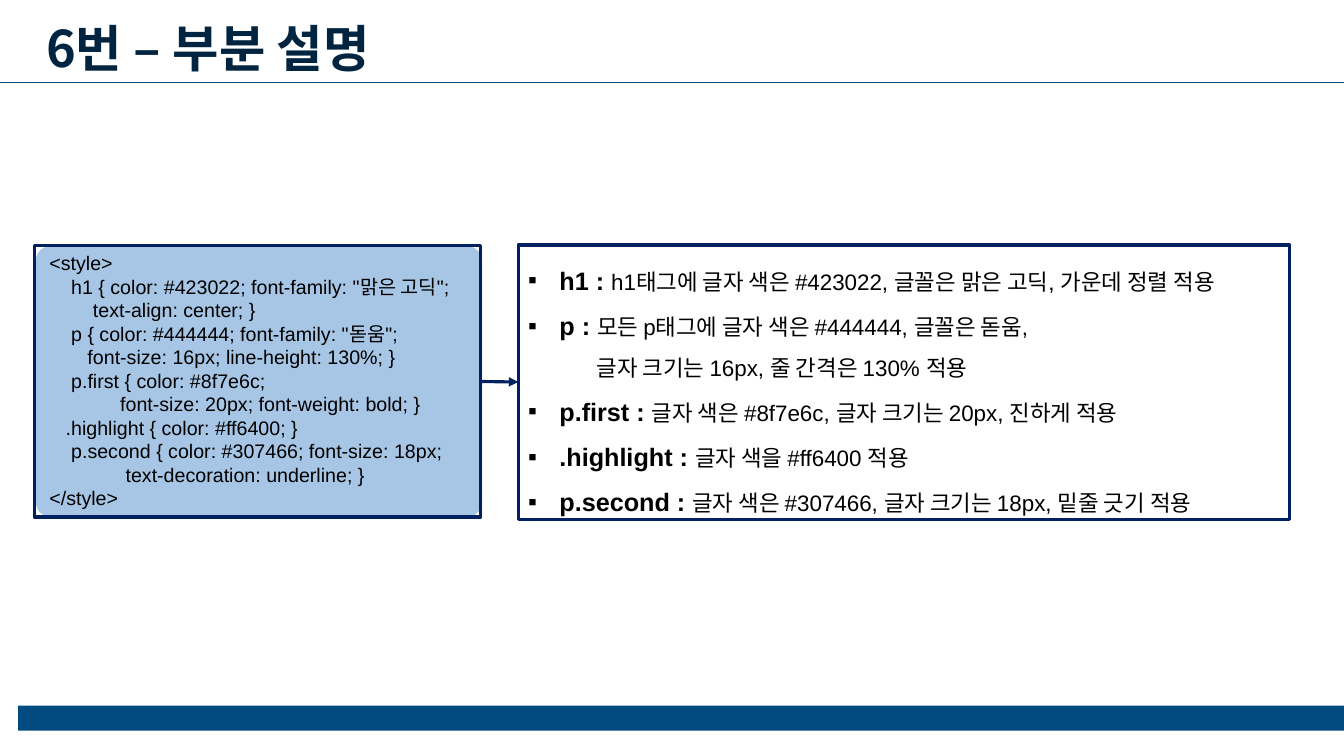
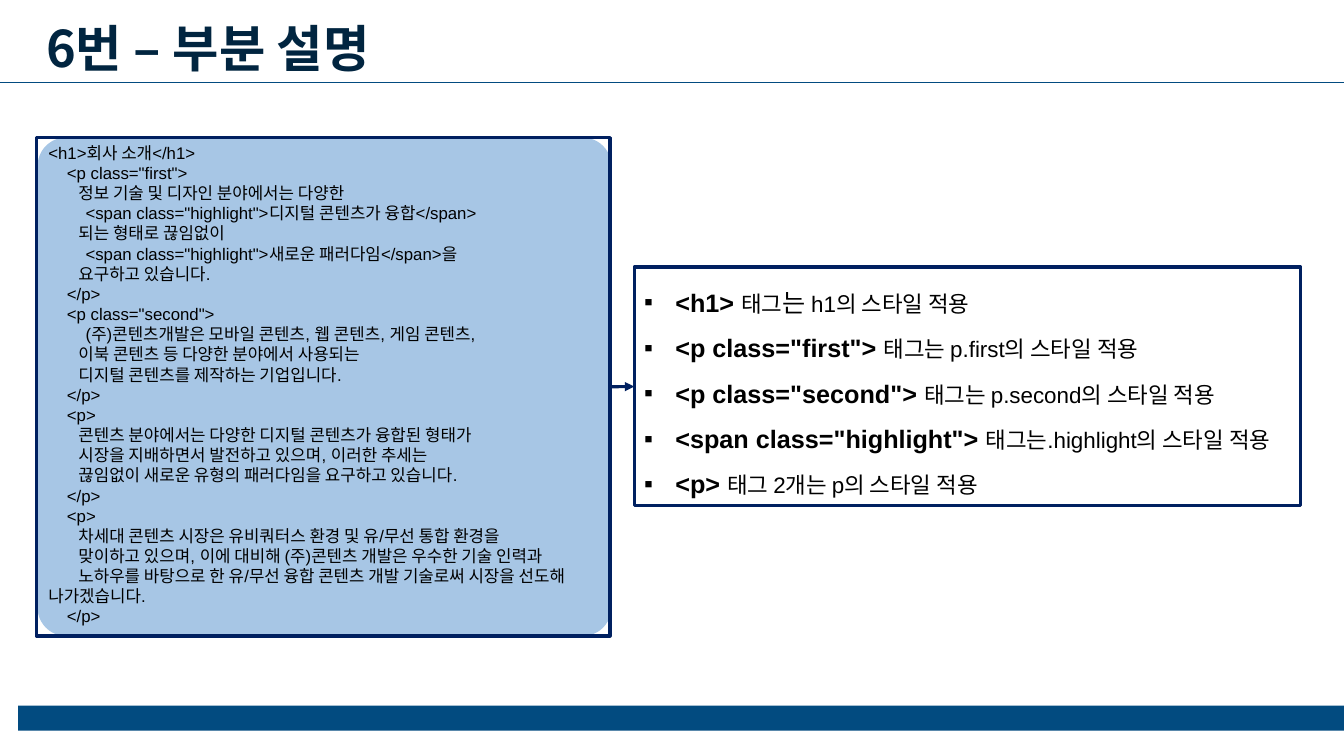
from lxml.etree import SubElement
from pptx import Presentation
from pptx.dml.color import RGBColor
from pptx.enum.shapes import MSO_CONNECTOR, MSO_SHAPE
from pptx.enum.text import MSO_ANCHOR, PP_ALIGN
from pptx.oxml.ns import qn
from pptx.util import Inches, Pt

HUES = {"band": "024B80", "title": "012540", "pane": "A7C6E5",
        "edge": "002060", "text": "000000"}
KOREAN = "Noto Sans CJK KR"
RUNS = {"head": {"size": 18, "bold": True}, "body": {"size": 16}, "wide": {"size": 18}}

STYLE = """<style>
    h1 { color: #423022; font-family: "맑은 고딕";
        text-align: center; }
    p { color: #444444; font-family: "돋움";
       font-size: 16px; line-height: 130%; }
    p.first { color: #8f7e6c;
             font-size: 20px; font-weight: bold; }
   .highlight { color: #ff6400; }
    p.second { color: #307466; font-size: 18px;
              text-decoration: underline; }
</style>"""

RULES = [
    [("h1 : ", "head"), ("h1태그에 글자 색은 #423022, 글꼴은 맑은 고딕, 가운데 정렬 적용", "body")],
    [("p : ", "head"), ("모든 p태그에 글자 색은 #444444, 글꼴은 돋움,", "body")],
    [("글자 크기는 16px, 줄 간격은 130% 적용", "body")],
    [("p.first : ", "head"), ("글자 색은 #8f7e6c, 글자 크기는 20px, 진하게 적용", "body")],
    [(".highlight : ", "head"), ("글자 색을 #ff6400 적용", "body")],
    [("p.second : ", "head"), ("글자 색은 #307466, 글자 크기는 18px, 밑줄 긋기 적용", "body")],
]

MARKUP = """<h1>회사 소개</h1>
    <p class="first">
        정보 기술 및 디자인 분야에서는 다양한
        <span class="highlight">디지털 콘텐츠가 융합</span>
        되는 형태로 끊임없이
        <span class="highlight">새로운 패러다임</span>을
        요구하고 있습니다.
    </p>
    <p class="second">
        (주)콘텐츠개발은 모바일 콘텐츠, 웹 콘텐츠, 게임 콘텐츠,
        이북 콘텐츠 등 다양한 분야에서 사용되는
        디지털 콘텐츠를 제작하는 기업입니다.
    </p>
    <p>
        콘텐츠 분야에서는 다양한 디지털 콘텐츠가 융합된 형태가
        시장을 지배하면서 발전하고 있으며, 이러한 추세는
        끊임없이 새로운 유형의 패러다임을 요구하고 있습니다.
    </p>
    <p>
        차세대 콘텐츠 시장은 유비쿼터스 환경 및 유/무선 통합 환경을
        맞이하고 있으며, 이에 대비해 (주)콘텐츠 개발은 우수한 기술 인력과
        노하우를 바탕으로 한 유/무선 융합 콘텐츠 개발 기술로써 시장을 선도해 나가겠습니다.
    </p>"""

USES = [
    [("<h1> ", "head"), ("태그", "body"), ("는 ", "wide"), ("h1의 스타일 적용", "body")],
    [('<p class="first"> ', "head"), ("태그는 p.first의 스타일 적용", "body")],
    [('<p class="second"> ', "head"), ("태그는 p.second의 스타일 적용", "body")],
    [('<span class="highlight"> ', "head"), ("태그는.highlight의 스타일 적용", "body")],
    [("<p> ", "head"), ("태그 2개는 p의 스타일 적용", "body")],
]


def hue(name):
    """Return a named colour."""
    return RGBColor.from_string(HUES[name])


def write(para, text, *, size, bold=False, color="text", font="Arial"):
    """Add one formatted run to a paragraph."""
    run = para.add_run()
    run.text = text
    run.font.size, run.font.bold = Pt(size), bold
    run.font.color.rgb = hue(color)
    run.font.name = font
    SubElement(run._r.get_or_add_rPr(), qn("a:ea"), typeface=KOREAN)


def paras(frame, rows):
    """Yield a left-aligned paragraph with each row."""
    for num, row in enumerate(rows):
        para = frame.add_paragraph() if num else frame.paragraphs[0]
        para.alignment = PP_ALIGN.LEFT
        yield para, row


class Deck:
    """Hold the style and the current slide; lengths are percent of its size."""

    def __init__(self):
        """Start a wide deck."""
        self.show = Presentation()
        self.show.slide_width, self.show.slide_height = Inches(13.33), Inches(7.5)

    def spot(self, *sides):
        """Turn percent lengths, across and down in turn, into slide lengths."""
        sizes = (self.show.slide_width, self.show.slide_height) * 2
        return [round(size * side / 100) for size, side in zip(sizes, sides)]

    def page(self, title):
        """Add a slide with its title, rule and bottom band."""
        self.slide = self.show.slides.add_slide(self.show.slide_layouts[6])
        self.shape((1.35, 93.33, 98.65, 3.33), fill="band")
        box = self.slide.shapes.add_textbox(*self.spot(2.7, 1.47, 81.62, 9.47))
        box.text_frame.word_wrap = True
        box.text_frame.vertical_anchor = MSO_ANCHOR.MIDDLE
        write(box.text_frame.paragraphs[0], title, size=36, bold=True,
              color="title", font=KOREAN)
        self.line((0, 10.93, 100, 10.93), "band", 0.5)

    def shape(self, area, kind=MSO_SHAPE.RECTANGLE, fill=None, edge=None):
        """Add a preset shape with an optional fill and outline."""
        item = self.slide.shapes.add_shape(kind, *self.spot(*area))
        item.shadow.inherit = False
        if fill:
            item.fill.solid()
            item.fill.fore_color.rgb = hue(fill)
        else:
            item.fill.background()
        if edge:
            item.line.color.rgb, item.line.width = hue(edge), Pt(2.25)
        else:
            item.line.fill.background()
        item.text_frame.word_wrap = True
        item.text_frame.vertical_anchor = MSO_ANCHOR.TOP
        return item

    def line(self, ends, color, width):
        """Add a straight line."""
        link = self.slide.shapes.add_connector(MSO_CONNECTOR.STRAIGHT, *self.spot(*ends))
        link.line.color.rgb, link.line.width = hue(color), Pt(width)
        SubElement(link._element.spPr, qn("a:effectLst"))
        return link

    def code(self, area, text, size, pad):
        """Add a framed code panel on a rounded pane."""
        left, *rest = area
        pane = self.shape((left + 0.1, *rest), MSO_SHAPE.ROUNDED_RECTANGLE, fill="pane")
        pane.adjustments[0] = 0.057
        item = self.shape(area, edge="edge")
        item.text_frame.margin_left = Inches(pad)
        for para, row in paras(item.text_frame, text.split("\n")):
            write(para, row, size=size)
        return item

    def notes(self, area, rows):
        """Add a framed list; rows without a head are indented further."""
        item = self.shape(area, edge="edge")
        for para, row in paras(item.text_frame, rows):
            para.line_spacing = 1.5
            props = para._p.get_or_add_pPr()
            if row[0][1] == "head":
                props.set("marL", str(Inches(0.31)))
                props.set("indent", str(-Inches(0.31)))
                SubElement(props, qn("a:buFont"), typeface="Arial")
                SubElement(props, qn("a:buChar"), char="▪")
            else:
                props.set("marL", str(Inches(0.68)))
            for text, kind in row:
                write(para, text, **RUNS[kind])
        return item

    def join(self, start, end):
        """Draw an arrow from one panel's right side to another's left."""
        link = self.line((0, 0, 0, 0), "edge", 2.25)
        link.begin_connect(start, 3)
        link.end_connect(end, 1)
        SubElement(link.line._get_or_add_ln(), qn("a:tailEnd"), type="triangle")


def main():
    """Build both slides."""
    deck = Deck()
    pages = [
        ((2.55, 32.53, 33.23, 35.87), STYLE, 14, 0.15,
         (38.56, 32.4, 57.39, 36.27), RULES),
        ((2.7, 18.2, 42.69, 65.93), MARKUP, 12, 0.12,
         (47.19, 35.33, 49.59, 31.6), USES),
    ]
    for left, text, size, pad, right, rows in pages:
        deck.page("6번 – 부분 설명")
        deck.join(deck.code(left, text, size, pad), deck.notes(right, rows))
    deck.show.save("out.pptx")


if __name__ == "__main__":
    main()
